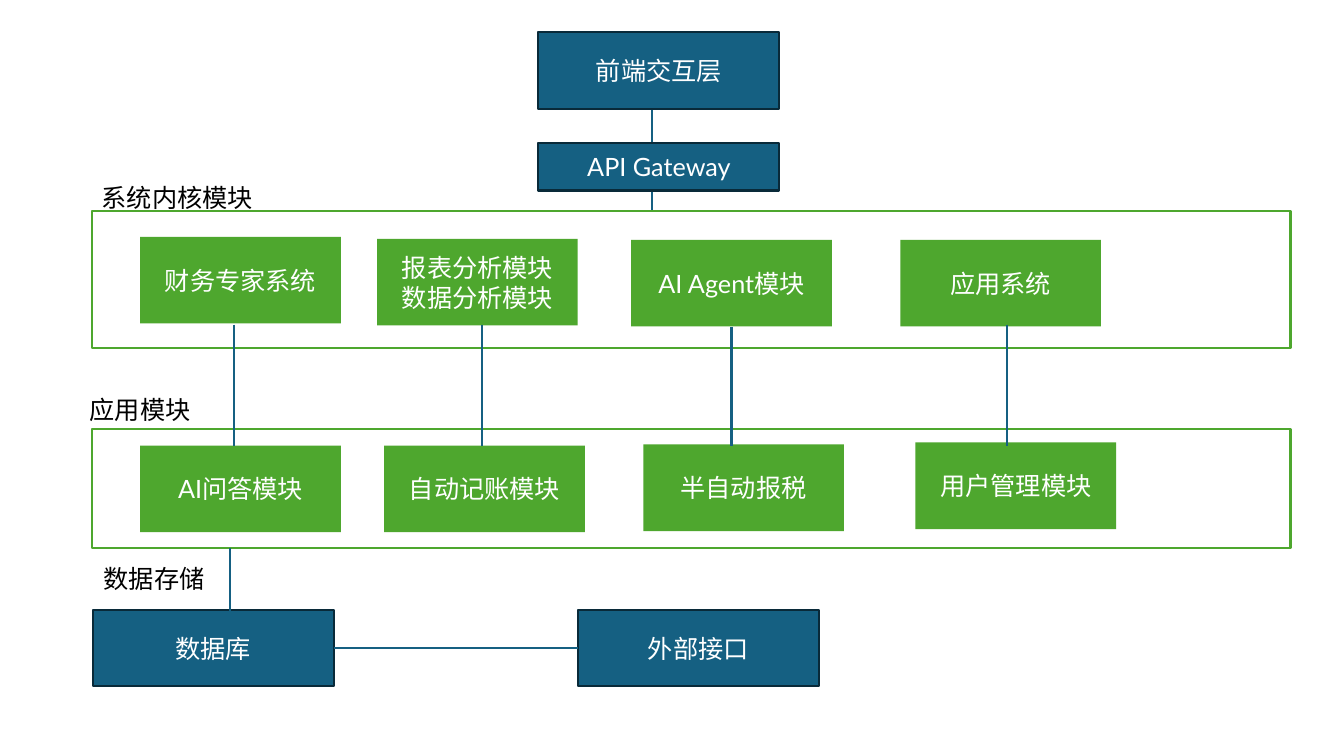
from dataclasses import dataclass
from lxml import etree
from pptx import Presentation, util as u
from pptx.dml.color import RGBColor
from pptx.enum import shapes, text
from pptx.oxml.ns import qn


@dataclass(frozen=True)
class Theme:
    blue: str = "156082"
    edge: str = "092A39"
    green: str = "4EA72E"
    white: str = "FFFFFF"
    black: str = "000000"
    font: str = "Lato"
    size: float = 18
    stroke: float = 1.5


theme = Theme()
deck = Presentation()
deck.slide_width, deck.slide_height = u.Inches(13.33), u.Inches(7.5)
page = deck.slides.add_slide(deck.slide_layouts[6])


def add_box(area, wording="", fill=None, line=None, label=False):
    """Add a rectangle, or a plain label, with its text."""
    area = [u.Inches(length) for length in area]
    if label:
        box = page.shapes.add_textbox(*area)
        box.text_frame.word_wrap = False
        box.text_frame.auto_size = text.MSO_AUTO_SIZE.SHAPE_TO_FIT_TEXT
    else:
        box = page.shapes.add_shape(shapes.MSO_SHAPE.RECTANGLE, *area)
        box.shadow.inherit = False
        box.text_frame.vertical_anchor = text.MSO_ANCHOR.MIDDLE
        for colour, paint in ((fill, box.fill), (line, box.line.fill)):
            if colour:
                paint.solid()
                paint.fore_color.rgb = RGBColor.from_string(colour)
            else:
                paint.background()
        if line:
            box.line.width = u.Pt(theme.stroke)
    box.text_frame.text = wording
    for para in box.text_frame.paragraphs:
        para.alignment = text.PP_ALIGN.LEFT if label else text.PP_ALIGN.CENTER
        for span in para.runs:
            span.font.name, span.font.size = theme.font, u.Pt(theme.size)
            span.font.color.rgb = RGBColor.from_string(theme.black if label else theme.white)
    return box


def add_link(x1, y1, x2, y2):
    """Add a straight blue line."""
    link = page.shapes.add_connector(
        shapes.MSO_CONNECTOR.STRAIGHT, *[u.Inches(length) for length in (x1, y1, x2, y2)])
    link.line.color.rgb = RGBColor.from_string(theme.blue)
    link.line.width = u.Pt(theme.stroke)
    etree.SubElement(link._element.spPr, qn("a:effectLst"))
    return link


# Line from the front end down to the core, passing behind the gateway
add_link(6.47, 1.08, 6.47, 2.09)

# Blue layers: front end, gateway and storage
layer_width, layer_height = 2.39, 0.76
layers = {}
for wording, left, top, height in (
    ("前端交互层", 5.34, 0.32, layer_height),
    ("API Gateway", 5.34, 1.42, 0.47),
    ("数据库", 0.92, 6.05, layer_height),
    ("外部接口", 5.73, 6.05, layer_height),
):
    layers[wording] = add_box((left, top, layer_width, height), wording, theme.blue, theme.edge)

# Frames around the core and application rows
for top, height in ((2.09, 1.36), (4.26, 1.18)):
    add_box((0.91, top, 11.89, height), line=theme.green)

# Green modules: core row, then application row
module_width, module_height = 1.99, 0.86
modules = {}
for wording, left, top in (
    ("财务专家系统", 1.39, 2.35),
    ("报表分析模块\n数据分析模块", 3.74, 2.37),
    ("AI Agent模块", 6.26, 2.38),
    ("应用系统", 8.93, 2.38),
    ("AI问答模块", 1.39, 4.42),
    ("自动记账模块", 3.81, 4.42),
    ("半自动报税", 6.38, 4.41),
    ("用户管理模块", 9.08, 4.39),
):
    modules[wording] = add_box((left, top, module_width, module_height), wording, theme.green)

# Row labels
for wording, left, top, width in (
    ("系统内核模块", 0.91, 1.76, 1.72),
    ("应用模块", 0.79, 3.86, 1.21),
    ("数据存储", 0.93, 5.54, 1.21),
):
    add_box((left, top, width, 0.4), wording, label=True)

# Lines from core modules to application modules
for x in (2.32, 4.78, 9.99):
    add_link(x, 3.22, x, 4.42)
agent_middle = 6.26 + module_width / 2
add_link(agent_middle, 3.24, agent_middle, 4.42).begin_connect(modules["AI Agent模块"], 2)

# Lines to the database and on to the external interface
add_link(2.28, 5.44, 2.28, 6.09)
storage_link = add_link(3.31, 6.43, 5.73, 6.43)
storage_link.begin_connect(layers["数据库"], 3)
storage_link.end_connect(layers["外部接口"], 1)

deck.save("out.pptx")
